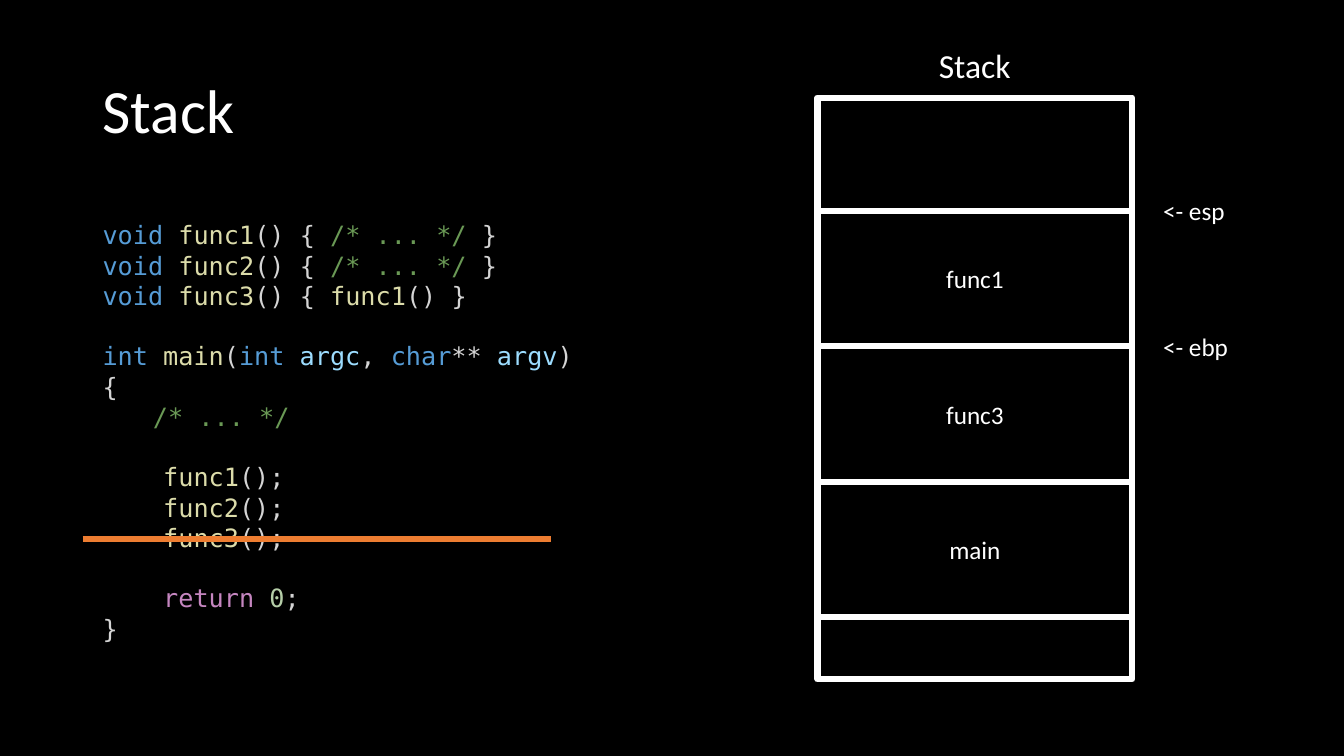
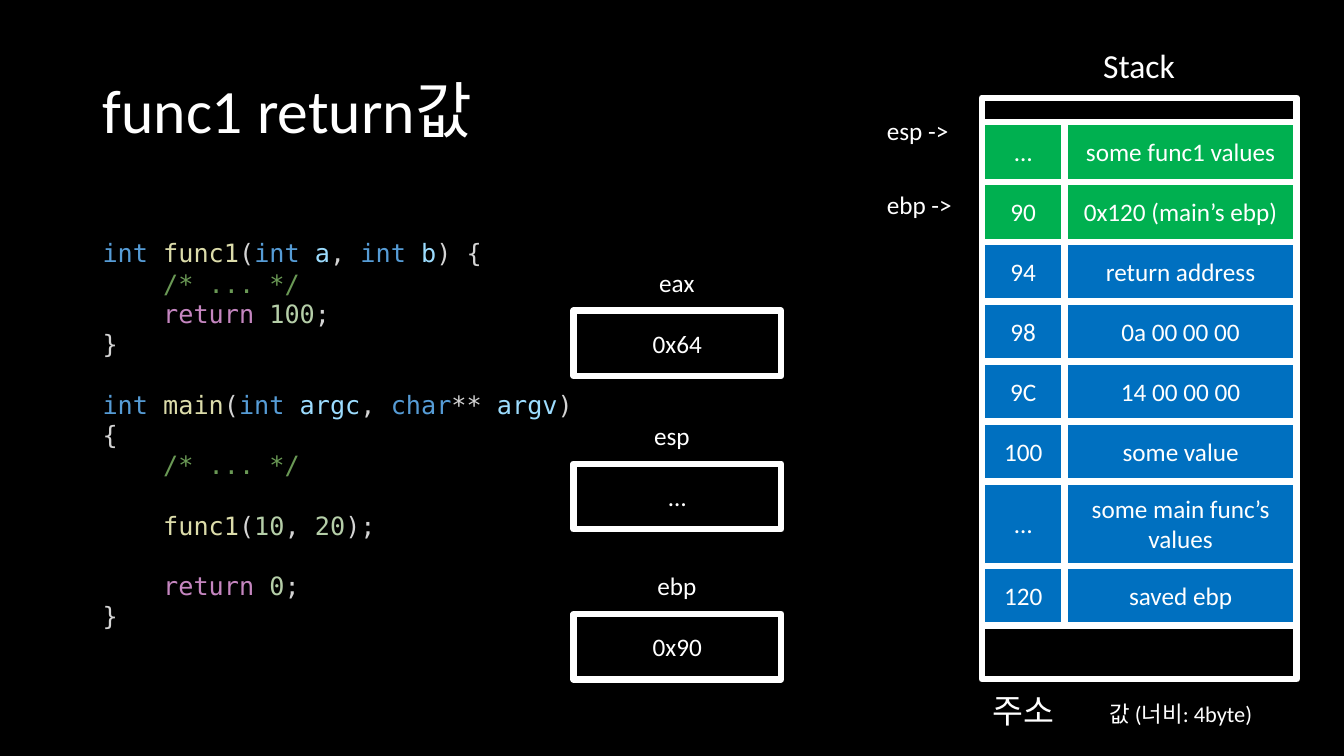
from dataclasses import dataclass
from itertools import groupby, pairwise, accumulate

from lxml.etree import SubElement
from pptx import Presentation
from pptx.dml.color import RGBColor
from pptx.enum.shapes import MSO_CONNECTOR as CONN, MSO_SHAPE as SHAPE
from pptx.enum.text import MSO_ANCHOR as ANCHOR, PP_ALIGN as ALIGN
from pptx.oxml.ns import qn
from pptx.slide import Slide
from pptx.util import Pt

BLACK, WHITE, BLUE, GREEN, ORANGE = "000000", "FFFFFF", "0070C0", "00B050", "ED7D31"
BODY, MONO = "Calibri", "DejaVu Sans Mono"
TYPE, FUNC, ARG, FLOW = "569CD6", "DCDCAA", "9CDCFE", "C586C0"
NUMBER, COMMENT, PLAIN = "B5CEA8", "6A9955", "D4D4D4"
WORDS = {
    **dict.fromkeys(("void", "int", "char"), TYPE),
    **dict.fromkeys(("func1", "func2", "func3", "main"), FUNC),
    **dict.fromkeys(("argc", "argv", "a", "b"), ARG),
    "return": FLOW,
}
BORDER, CODE_SIZE, CODE_PITCH = 4.5, 18, 21.6
STACK_TOP, STACK_W, STACK_H = 69.8, 224.8, 415.4


@dataclass(frozen=True)
class Label:
    text: str
    x: float
    y: float
    w: float
    h: float = 28.8
    size: float = 18
    align: ALIGN = ALIGN.LEFT
    anchor: ANCHOR = ANCHOR.TOP
    spacing: float = 1.0


@dataclass(frozen=True)
class Box:
    text: str
    x: float
    y: float
    w: float
    h: float
    fill: str = BLACK


@dataclass(frozen=True)
class CodeLine:
    text: str
    indent: float = 0
    gap: int = 0


@dataclass(frozen=True)
class Register:
    name: str
    value: str
    y: float
    label_x: float = 434.2


@dataclass(frozen=True)
class StackRow:
    address: str
    value: str
    fill: str = BLUE
    h: float = 42.8


def rgb(color: str) -> RGBColor:
    return RGBColor.from_string(color)


def apply(target: object, values: dict) -> None:
    for name, value in values.items():
        setattr(target, name, value)


def add_run(p, text: str, size: float, font: str = BODY, color: str = WHITE) -> None:
    r = p.add_run()
    r.text = text
    apply(r.font, {"name": font, "size": Pt(size)})
    r.font.color.rgb = rgb(color)


def add_label(s: Slide, label: Label) -> None:
    sp = s.shapes.add_textbox(Pt(label.x), Pt(label.y), Pt(label.w), Pt(label.h))
    tf = sp.text_frame
    apply(tf, {"word_wrap": True, "vertical_anchor": label.anchor})
    p = tf.paragraphs[0]
    apply(p, {"alignment": label.align, "line_spacing": label.spacing})
    add_run(p, label.text, label.size)


def add_box(s: Slide, box: Box) -> None:
    sp = s.shapes.add_shape(SHAPE.RECTANGLE, Pt(box.x), Pt(box.y), Pt(box.w), Pt(box.h))
    sp.shadow.inherit = False
    sp.fill.solid()
    sp.fill.fore_color.rgb = rgb(box.fill)
    sp.line.color.rgb = rgb(WHITE)
    sp.line.width = Pt(BORDER)
    if box.text:
        tf = sp.text_frame
        apply(tf, {"word_wrap": True, "vertical_anchor": ANCHOR.MIDDLE})
        p = tf.paragraphs[0]
        p.alignment = ALIGN.CENTER
        add_run(p, box.text, 18)


def add_line(s: Slide, x1: float, x2: float, y: float, color: str) -> None:
    sp = s.shapes.add_connector(CONN.STRAIGHT, Pt(x1), Pt(y), Pt(x2), Pt(y))
    sp.line.color.rgb = rgb(color)
    sp.line.width = Pt(BORDER)
    SubElement(sp._element.spPr, qn("a:effectLst"))


def highlight(text: str) -> list[tuple[str, str]]:
    before, comment, after = text.partition("/* ... */")
    tokens = []
    for part in (before, comment, after):
        if part and part == comment:
            tokens.append((part, COMMENT))
            continue
        for _, chars in groupby(part, str.isalnum):
            word = "".join(chars)
            tokens.append((word, NUMBER if word.isdigit() else WORDS.get(word, PLAIN)))
    return tokens


def add_code(s: Slide, y: float, lines: list[CodeLine]) -> None:
    sp = s.shapes.add_textbox(Pt(66.2), Pt(y), Pt(355), Pt(312.5))
    tf = sp.text_frame
    tf.word_wrap = True
    for i, line in enumerate(lines):
        p = tf.add_paragraph() if i else tf.paragraphs[0]
        apply(p, {"line_spacing": Pt(CODE_PITCH), "space_before": Pt(line.gap * CODE_PITCH)})
        p._p.get_or_add_pPr().set("marL", str(Pt(line.indent)))
        for text, color in highlight(line.text):
            add_run(p, text, CODE_SIZE, MONO, color)


def add_slide(prs, title: str, stack_x: float) -> Slide:
    s = prs.slides.add_slide(prs.slide_layouts[6])
    s.background.fill.solid()
    s.background.fill.fore_color.rgb = rgb(BLACK)
    add_label(s, Label(title, 66.2, 28.8, 828, 104.4, 44, anchor=ANCHOR.MIDDLE, spacing=0.9))
    add_box(s, Box("", stack_x, STACK_TOP, STACK_W, STACK_H))
    add_label(s, Label("Stack", stack_x + 37, 28.8, 150.5, 36, 24, ALIGN.CENTER))
    return s


INDENT = 43.3
MAIN = [CodeLine("int main(int argc, char** argv)", gap=1), CodeLine("{")]
END = [CodeLine("return 0;", INDENT, 1), CodeLine("}")]
CALLS_CODE = [
    CodeLine("void func1() { /* ... */ }"),
    CodeLine("void func2() { /* ... */ }"),
    CodeLine("void func3() { func1() }"),
    *MAIN,
    CodeLine("/* ... */", 36),
    CodeLine("func1();", INDENT, 1),
    CodeLine("func2();", INDENT),
    CodeLine("func3();", INDENT),
    *END,
]
RETURN_CODE = [
    CodeLine("int func1(int a, int b) {"),
    CodeLine("/* ... */", INDENT),
    CodeLine("return 100;", INDENT),
    CodeLine("}"),
    *MAIN,
    CodeLine("/* ... */", INDENT),
    CodeLine("func1(10, 20);", INDENT, 1),
    *END,
]
REGISTERS = [
    Register("eax", "0x64", 221.8),
    Register("esp", "…", 331.2, 430.6),
    Register("ebp", "0x90", 438.5),
]
STACK_ROWS = [
    StackRow("…", "some func1 values", GREEN),
    StackRow("90", "0x120 (main’s ebp)", GREEN),
    StackRow("94", "return address"),
    StackRow("98", "0a 00 00 00"),
    StackRow("9C", "14 00 00 00"),
    StackRow("100", "some value"),
    StackRow("…", "some main func’s values", h=60.2),
    StackRow("120", "saved ebp"),
]


def build_calls(prs) -> None:
    stack_x, top, frame_h = 584, 150.5, 96.8
    s = add_slide(prs, "Stack", stack_x)
    add_code(s, 153.4, CALLS_CODE)
    for i, name in enumerate(("func1", "func3", "main")):
        add_box(s, Box(name, stack_x, top + i * frame_h, STACK_W, frame_h))
    for i, name in enumerate(("<- esp", "<- ebp")):
        add_label(s, Label(name, 823.7, 136 + i * frame_h, 98.6))
    add_line(s, 59, 393.4, 385, ORANGE)


def build_return(prs) -> None:
    stack_x, address_w = 701.4, 59
    s = add_slide(prs, "func1 return값", stack_x)
    add_code(s, 166.3, RETURN_CODE)
    edges = accumulate((row.h for row in STACK_ROWS), initial=87.1)
    for row, (top, bottom) in zip(STACK_ROWS, pairwise(edges)):
        h = bottom - top
        add_box(s, Box(row.value, stack_x + address_w, top, STACK_W - address_w, h, row.fill))
        add_box(s, Box(row.address, stack_x, top, address_w, h, row.fill))
    for reg in REGISTERS:
        add_box(s, Box(reg.value, 409.7, reg.y, 148.3, 46.8))
        add_label(s, Label(reg.name, reg.label_x, reg.y - 34.4, 98.6, align=ALIGN.CENTER))
    for label in (
        Label("esp ->", 626.4, 78.5, 64),
        Label("ebp ->", 626.4, 131.8, 64),
        Label("주소", 655.9, 489.6, 150.5, 36, 24, ALIGN.CENTER),
        Label("값 (너비: 4byte)", 768.2, 496.8, 150.5, 26.6, 16, ALIGN.CENTER),
    ):
        add_label(s, label)


def main() -> None:
    prs = Presentation()
    apply(prs, {"slide_width": Pt(960), "slide_height": Pt(540)})
    build_calls(prs)
    build_return(prs)
    prs.save("out.pptx")


if __name__ == "__main__":
    main()
